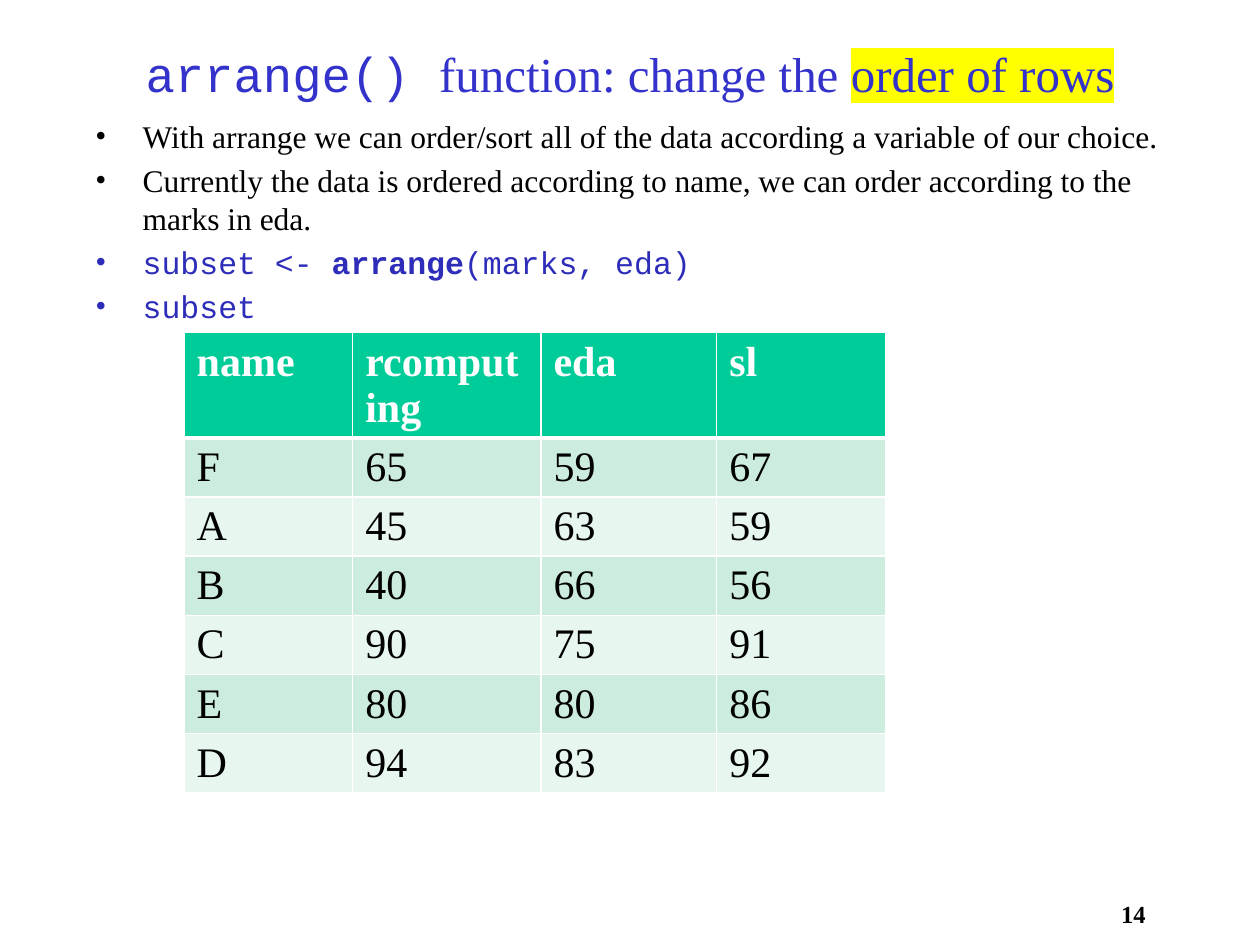
from lxml import etree
from pptx import Presentation, util as u
from pptx.dml.color import RGBColor
from pptx.enum import shapes, text
from pptx.oxml.ns import qn

Pt = u.Pt
SERIF, MONO = "Times New Roman", "Courier New"
HUES = {"title": "3333CC", "code": "2D2DB9", "text": "000000", "mark": "FFFF00",
        "head": "00CC99", "dark": "CCECDE", "light": "E7F6EF", "white": "FFFFFF"}
ROWS = [
    ["name", "rcomputing", "eda", "sl"],
    ["F", 65, 59, 67],
    ["A", 45, 63, 59],
    ["B", 40, 66, 56],
    ["C", 90, 75, 91],
    ["E", 80, 80, 86],
    ["D", 94, 83, 92],
]


def hue(name):
    return RGBColor.from_string(HUES[name])


def node(owner, tag, **attrs):
    return etree.SubElement(owner, qn(tag), attrs)


def write(para, words, size=18, font=SERIF, color="text", bold=False, mark=None):
    run = para.add_run()
    run.text = words
    face = run.font
    face.size, face.name, face.bold = Pt(size), font, bold
    face.color.rgb = hue(color)
    if mark:
        props = run._r.get_or_add_rPr()
        light = etree.Element(qn("a:highlight"))
        node(light, "a:srgbClr", val=HUES[mark])
        props.find(qn("a:solidFill")).addnext(light)


def place(shape, left, top, width, height):
    shape.left, shape.top = Pt(left), Pt(top)
    shape.width, shape.height = Pt(width), Pt(height)


def bullet(para, color):
    props = para._p.get_or_add_pPr()
    props.set("marL", str(Pt(27)))
    props.set("indent", str(Pt(-27)))
    node(node(props, "a:buClr"), "a:srgbClr", val=HUES[color])
    node(props, "a:buFont", typeface=SERIF)
    node(props, "a:buChar", char="•")


def add_title(slide):
    title = slide.shapes.title
    place(title, 54, 13, 612, 57)
    frame = title.text_frame
    frame.auto_size = text.MSO_AUTO_SIZE.NONE
    frame.vertical_anchor = text.MSO_ANCHOR.MIDDLE
    para = frame.paragraphs[0]
    para.alignment = text.PP_ALIGN.CENTER
    look = {"size": 28, "color": "title"}
    write(para, "arrange() ", font=MONO, **look)
    write(para, "function: change the ", **look)
    write(para, "order of rows", mark="mark", **look)


def add_list(slide):
    body = slide.placeholders[1]
    place(body, 47.3, 63.4, 648, 396)
    frame = body.text_frame
    frame.auto_size = text.MSO_AUTO_SIZE.NONE
    plain, code = {}, {"font": MONO, "color": "code"}
    items = [
        [("With arrange we can order/sort all of the data according a variable "
          "of our choice.", plain)],
        [("Currently the data is ordered according to name, we can order "
          "according to the marks in eda.", plain)],
        [("subset <- ", code), ("arrange", {**code, "bold": True}),
         ("(marks, eda)", code)],
        [("subset", code)],
    ]
    for i, item in enumerate(items):
        para = frame.add_paragraph() if i else frame.paragraphs[0]
        bullet(para, item[0][1].get("color", "text"))
        para.space_before = Pt(3.6 if i else 0)
        for words, look in item:
            write(para, words, **look)


def border(cell, top, bottom):
    """Draw white cell edges; the lines must come before the fill."""
    props = cell._tc.get_or_add_tcPr()
    edges = {"L": 1, "R": 1, "T": top, "B": bottom}
    for i, (side, width) in enumerate(edges.items()):
        line = etree.Element(qn("a:ln" + side), w=str(Pt(width)))
        node(node(line, "a:solidFill"), "a:srgbClr", val=HUES["white"])
        props.insert(i, line)


def add_marks(slide):
    wide = [96.4, 107.6, 100.4, 96.4]
    high = 29.2
    frame = slide.shapes.add_table(len(ROWS), len(wide), Pt(105.2), Pt(190),
                                   Pt(sum(wide)), Pt(high * len(ROWS)))
    table = frame.table
    table.horz_banding = False
    for col, width in zip(table.columns, wide):
        col.width = Pt(width)
    for r, row in enumerate(ROWS):
        table.rows[r].height = Pt(high)
        head = r == 0
        fill = "head" if head else "dark" if r % 2 else "light"
        for c, value in enumerate(row):
            cell = table.cell(r, c)
            cell.fill.solid()
            cell.fill.fore_color.rgb = hue(fill)
            border(cell, top=3 if r == 1 else 1, bottom=3 if head else 1)
            para = cell.text_frame.paragraphs[0]
            para.space_before = Pt(0)
            write(para, str(value), size=24, bold=head,
                  color="white" if head else "text")


def add_page(slide):
    box = slide.shapes.add_shape(shapes.MSO_SHAPE.RECTANGLE, Pt(635.8), Pt(513.7),
                                 Pt(23.8), Pt(26))
    box.shadow.inherit = False
    box.fill.solid()
    box.fill.fore_color.rgb = hue("white")
    box.line.fill.background()
    frame = box.text_frame
    frame.margin_left = frame.margin_right = Pt(0)
    frame.margin_top = frame.margin_bottom = Pt(0)
    frame.vertical_anchor = text.MSO_ANCHOR.TOP
    para = frame.paragraphs[0]
    para.alignment = text.PP_ALIGN.CENTER
    write(para, "14", size=14, bold=True)


def main():
    deck = Presentation()
    deck.slide_width, deck.slide_height = Pt(720), Pt(540)
    slide = deck.slides.add_slide(deck.slide_layouts[1])
    add_title(slide)
    add_list(slide)
    add_marks(slide)
    add_page(slide)
    deck.save("out.pptx")


if __name__ == "__main__":
    main()
